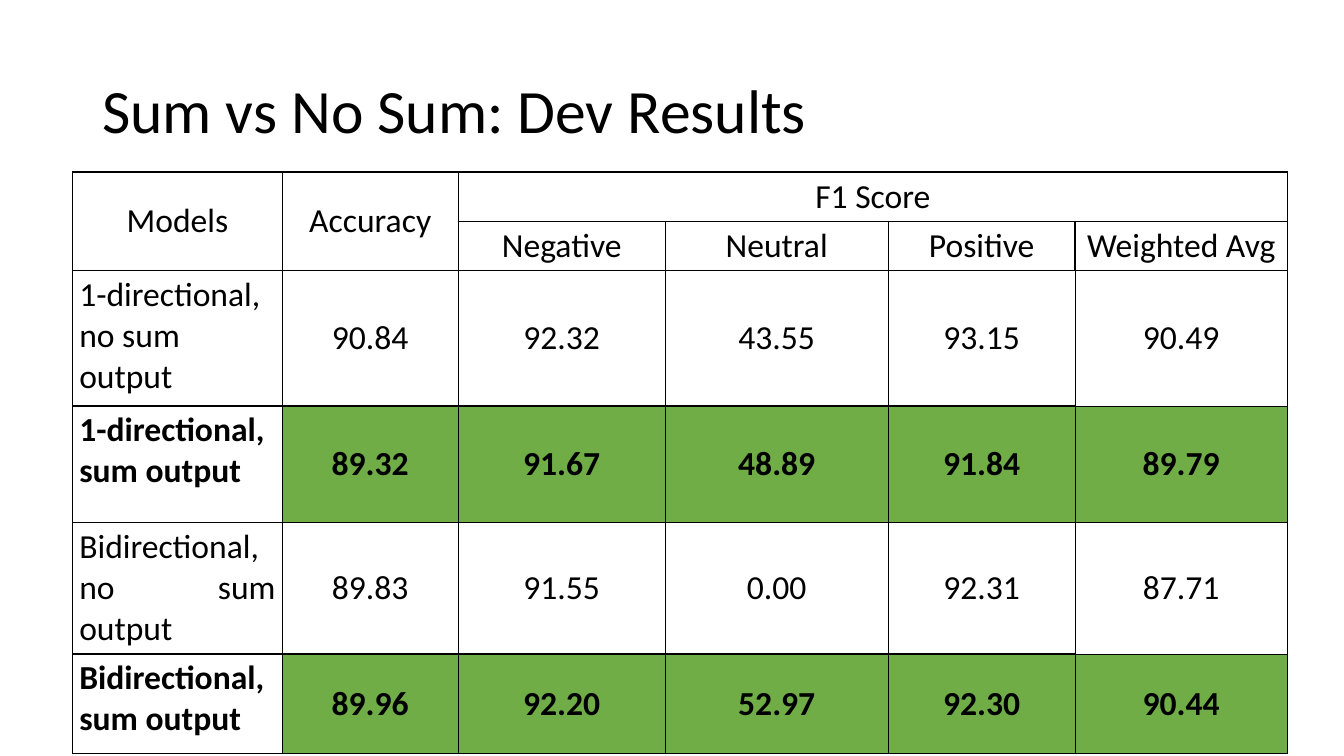
from dataclasses import dataclass

from lxml.etree import SubElement
from pptx import Presentation
from pptx.dml.color import RGBColor
from pptx.enum.text import MSO_ANCHOR, PP_ALIGN
from pptx.oxml.ns import qn
from pptx.util import Inches, Pt


@dataclass(frozen=True)
class Theme:
    font: str = "Calibri"
    ink: str = "000000"
    highlight: str = "70AD47"
    title_size: float = 33
    table_size: float = 18
    line: float = 0.75
    thin_line: float = 0.5


THEME = Theme()
COLUMN_WIDTHS = (1.56, 1.31, 1.54, 1.66, 1.39, 1.58)
ROW_HEIGHTS = (0.35, 0.35, 1.01, 0.87, 0.91, 0.74)
HEADERS = (
    ("Models", "Accuracy", "F1 Score", "", "", ""),
    ("", "", "Negative", "Neutral", "Positive", "Weighted Avg"),
)
RESULTS = (
    ("1-directional, no sum output ", "90.84", "92.32", "43.55", "93.15", "90.49"),
    ("1-directional, sum output", "89.32", "91.67", "48.89", "91.84", "89.79"),
    ("Bidirectional, no sum output", "89.83", "91.55", "0.00", "92.31", "87.71"),
    ("Bidirectional, sum output", "89.96", "92.20", "52.97", "92.30", "90.44"),
)


def write_text(frame, text, size, bold=False, align=PP_ALIGN.LEFT, line_spacing=None):
    paragraph = frame.paragraphs[0]
    paragraph.alignment = align
    paragraph.line_spacing = line_spacing
    run = paragraph.add_run()
    run.text = text
    run.font.name = THEME.font
    run.font.size = Pt(size)
    run.font.bold = bold
    run.font.color.rgb = RGBColor.from_string(THEME.ink)


def set_margins(part, horizontal, vertical):
    part.margin_left = part.margin_right = Inches(horizontal)
    part.margin_top = part.margin_bottom = Inches(vertical)


def set_borders(cell, **widths):
    properties = cell._tc.get_or_add_tcPr()
    for position, side in enumerate("LRTB"):
        width = widths.get(side, THEME.line)
        border = SubElement(properties, qn(f"a:ln{side}"), w=str(Pt(width)))
        fill = SubElement(border, qn("a:solidFill"))
        SubElement(fill, qn("a:srgbClr"), val=THEME.ink)
        properties.insert(position, border)


def border_widths(row, column):
    thin = THEME.thin_line
    last = len(COLUMN_WIDTHS) - 1
    if row >= len(HEADERS):
        if column == last:
            return dict.fromkeys("LRTB", thin)
        if column == last - 1:
            return {"R": thin}
    elif row == len(HEADERS) - 1 and column == last:
        return {"B": thin}
    return {}


def format_cell(cell, row, column, text):
    is_result = row >= len(HEADERS)
    is_sum = is_result and (row - len(HEADERS)) % 2 == 1
    is_model = is_result and column == 0
    is_average = is_result and column == len(COLUMN_WIDTHS) - 1

    set_margins(cell, *((0.07, 0) if is_average else (0.05, 0.03)))
    cell.vertical_anchor = MSO_ANCHOR.TOP if is_model else MSO_ANCHOR.MIDDLE
    if is_sum and not is_model:
        cell.fill.solid()
        cell.fill.fore_color.rgb = RGBColor.from_string(THEME.highlight)
    else:
        cell.fill.background()
    set_borders(cell, **border_widths(row, column))

    if text:
        align = PP_ALIGN.CENTER
        if is_model:
            align = PP_ALIGN.LEFT if row == len(HEADERS) else PP_ALIGN.JUSTIFY
        write_text(cell.text_frame, text, THEME.table_size, bold=is_sum, align=align)


def add_title(slide, text):
    title = slide.shapes.title
    title.left, title.top = Inches(0.69), Inches(0.3)
    title.width, title.height = Inches(8.62), Inches(1.09)
    frame = title.text_frame
    frame.word_wrap = True
    frame.vertical_anchor = MSO_ANCHOR.MIDDLE
    set_margins(frame, 0.07, 0.04)
    write_text(frame, text, THEME.title_size, line_spacing=0.9)


def add_results_table(slide):
    results = slide.shapes.add_table(
        len(ROW_HEIGHTS), len(COLUMN_WIDTHS), Inches(0.54), Inches(1.28),
        Inches(sum(COLUMN_WIDTHS)), Inches(sum(ROW_HEIGHTS)),
    ).table
    results.first_row = results.horz_banding = False
    for column, width in zip(results.columns, COLUMN_WIDTHS):
        column.width = Inches(width)
    for row, height in zip(results.rows, ROW_HEIGHTS):
        row.height = Inches(height)
    for row, texts in enumerate(HEADERS + RESULTS):
        for column, text in enumerate(texts):
            format_cell(results.cell(row, column), row, column, text)
    for column in (0, 1):
        results.cell(0, column).merge(results.cell(1, column))
    results.cell(0, 2).merge(results.cell(0, 5))


def main():
    presentation = Presentation()
    presentation.slide_width = Inches(10)
    presentation.slide_height = Inches(10 * 9 / 16)
    slide = presentation.slides.add_slide(presentation.slide_layouts[5])
    add_title(slide, "Sum vs No Sum: Dev Results")
    add_results_table(slide)
    presentation.save("out.pptx")


if __name__ == "__main__":
    main()
